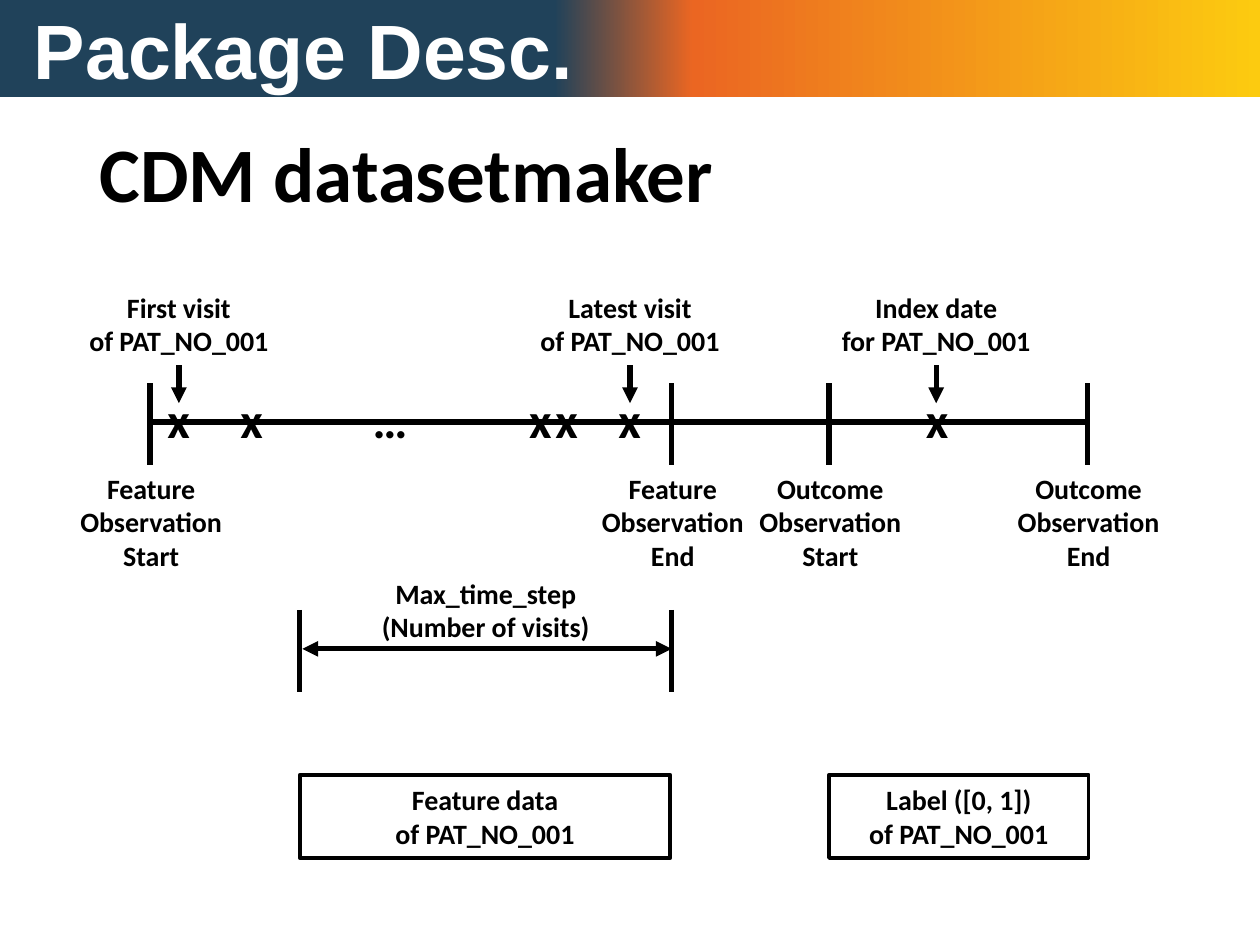
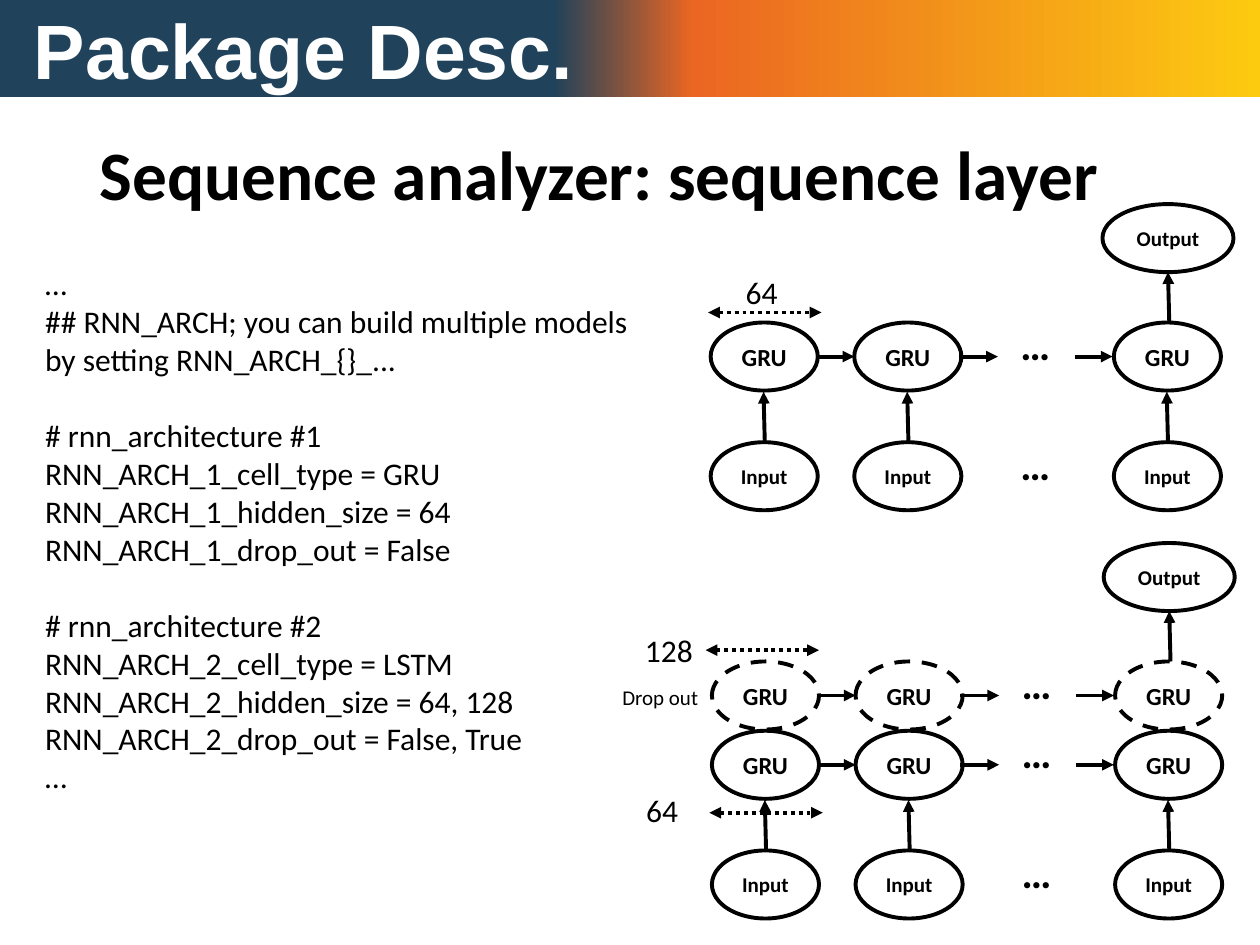
from lxml import etree
from pptx import Presentation
from pptx import util as u
from pptx.dml.color import RGBColor
from pptx.enum import dml, shapes, text
from pptx.oxml.ns import qn

BLACK, WHITE = "000000", "FFFFFF"
BAND_STOPS = [(0, "20425A"), (44, "20425A"), (55, "EB6622"), (100, "FCCB10")]
CENTER = text.PP_ALIGN.CENTER
MIDDLE, TOP = text.MSO_ANCHOR.MIDDLE, text.MSO_ANCHOR.TOP

CODE_BLOCKS = [
    ["…", "## RNN_ARCH; you can build multiple models by setting RNN_ARCH_{}_..."],
    ["# rnn_architecture #1", "RNN_ARCH_1_cell_type = GRU",
     "RNN_ARCH_1_hidden_size = 64", "RNN_ARCH_1_drop_out = False"],
    ["# rnn_architecture #2", "RNN_ARCH_2_cell_type = LSTM",
     "RNN_ARCH_2_hidden_size = 64, 128", "RNN_ARCH_2_drop_out = False, True", "…"],
]


# Shared helpers
def color(value):
    return RGBColor.from_string(value)


def inches(*lengths):
    return [u.Inches(length) for length in lengths]


def write(shape, content, size=16, font="Calibri", fill=BLACK, bold=True,
          align=text.PP_ALIGN.LEFT, anchor=MIDDLE, wrap=True, inset=0.1):
    """Write one paragraph per line of content."""
    frame = shape.text_frame
    frame.auto_size = text.MSO_AUTO_SIZE.NONE
    frame.word_wrap = wrap
    frame.vertical_anchor = anchor
    frame.margin_left = u.Inches(inset)
    frame.text = content
    for paragraph in frame.paragraphs:
        paragraph.alignment = align
        for run in paragraph.runs:
            run.font.name = font
            run.font.size = u.Pt(size)
            run.font.bold = bold
            run.font.color.rgb = color(fill)
    return frame


def add_text(slide, box, content, **style):
    return write(slide.shapes.add_textbox(*inches(*box)), content, **style)


def add_mark(slide, box, content, size):
    add_text(slide, box, content, size=size, anchor=TOP, wrap=False)


def add_outlined(slide, kind, box, content, size=16, dash=None):
    shape = slide.shapes.add_shape(kind, *inches(*box))
    shape.shadow.inherit = False
    shape.fill.background()
    shape.line.color.rgb = color(BLACK)
    shape.line.width = u.Pt(2.25)
    if dash:
        shape.line.dash_style = dash
    frame = write(shape, content, size=size, align=CENTER, inset=0)
    frame.margin_right = 0


def add_line(slide, start, end, width=3, heads=(), dash=None):
    line = slide.shapes.add_connector(
        shapes.MSO_CONNECTOR.STRAIGHT, *inches(*start, *end))
    line.line.color.rgb = color(BLACK)
    line.line.width = u.Pt(width)
    if dash:
        line.line.dash_style = dash
    properties = line.element.spPr
    for head in heads:
        etree.SubElement(properties.find(qn("a:ln")), qn(f"a:{head}"), type="triangle")
    etree.SubElement(properties, qn("a:effectLst"))


def add_band(slide):
    band = slide.shapes.add_shape(
        shapes.MSO_SHAPE.RECTANGLE, *inches(0, 0, 10, 0.77))
    band.shadow.inherit = False
    band.line.fill.background()
    band.fill.gradient()
    band.fill.gradient_angle = 0
    stops = band.element.spPr.find(".//" + qn("a:gsLst"))
    for stop in list(stops):
        stops.remove(stop)
    for position, value in BAND_STOPS:
        stop = etree.SubElement(stops, qn("a:gs"), pos=str(position * 1000))
        etree.SubElement(stop, qn("a:srgbClr"), val=value)
    write(band, "Package Desc.", size=44, font="Arial", fill=WHITE, inset=0.27)


def add_titled_slide(presentation, title, size):
    slide = presentation.slides.add_slide(presentation.slide_layouts[5])
    add_band(slide)
    holder = slide.shapes.title
    holder.left, holder.top, holder.width, holder.height = inches(0.69, 0.97, 8.62, 0.88)
    write(holder, title, size=size).paragraphs[0].line_spacing = 0.9
    return slide


# Dataset maker slide
def add_tick(slide, x, top):
    add_line(slide, (x, top), (x, top + 0.65))


def add_timeline(slide, left, top):
    """Observation periods and visits; top is the upper end of the ticks."""
    label_width = 1.66
    periods = [(0, "Feature Observation Start"), (4.14, "Feature Observation End"),
               (5.39, "Outcome Observation Start"), (7.44, "Outcome Observation End")]
    add_line(slide, (left + 7.44, top + 0.31), (left, top + 0.31))
    for offset, label in periods:
        add_tick(slide, left + offset, top)
        add_text(slide, (left + offset - label_width / 2 + 0.01, top + 0.65, label_width, 0.9),
                 label, align=CENTER)

    for offset in (0.23, 0.81, 3.1, 3.31, 3.81, 6.25):
        add_mark(slide, (left + offset - 0.19, top, 0.38, 0.57), "x", 28)
    add_mark(slide, (left + 1.67, top, 0.48, 0.57), "…", 28)

    events = [(0.23, "First visit\nof PAT_NO_001"), (3.81, "Latest visit\nof PAT_NO_001"),
              (6.24, "Index date\nfor PAT_NO_001")]
    for offset, label in events:
        x = left + offset
        add_text(slide, (x - 0.91, top - 0.8, 1.82, 0.66), label, align=CENTER)
        add_line(slide, (x, top - 0.14), (x, top + 0.16), heads=["tailEnd"])


def add_time_step(slide, left, top, width):
    for x in (left, left + width):
        add_tick(slide, x, top)
    add_line(slide, (left + width, top + 0.31), (left + 0.02, top + 0.31),
             heads=["headEnd", "tailEnd"])
    add_text(slide, (left + 0.5, top - 0.33, 1.95, 0.66),
             "Max_time_step (Number of visits)", align=CENTER)


def build_dataset_slide(presentation):
    slide = add_titled_slide(presentation, "CDM datasetmaker", 44)
    add_timeline(slide, 1.19, 3.04)
    add_time_step(slide, 2.38, 4.84, 2.95)
    for left, width, label in [(2.38, 2.94, "Feature data"), (6.58, 2.06, "Label ([0, 1])")]:
        add_outlined(slide, shapes.MSO_SHAPE.RECTANGLE, (left, 6.15, width, 0.66),
                     f"{label}\nof PAT_NO_001")


# Sequence layer slide
def add_code(slide, box):
    lines = [line for block in CODE_BLOCKS for line in block]
    frame = add_text(slide, box, "\n".join(lines), size=18, bold=False, anchor=TOP)
    position = 0
    for block in CODE_BLOCKS[:-1]:
        position += len(block)
        frame.paragraphs[position].space_before = u.Pt(22)


def add_network(slide, left, top, layers):
    """Output over recurrent layers over inputs; layers holds (offset, dash)."""
    columns = [left + offset for offset in (0, 1.14, 3.2)]
    cell_width, height, rise = 0.85, 0.54, 0.4
    oval = shapes.MSO_SHAPE.OVAL
    input_top = top + layers[-1][0] + 0.95

    def add_row(row_top, label, size, dash=None):
        for x in columns:
            add_outlined(slide, oval, (x, row_top, cell_width, height), label, size, dash)
        add_mark(slide, (left + 2.36, row_top - 0.08, 0.44, 0.5), "…", 24)

    def add_arrow(start, end):
        add_line(slide, start, end, width=2.25, heads=["tailEnd"])

    add_outlined(slide, oval, (left + 3.11, top, 1.04, height), "Output", 12)
    add_arrow((columns[-1] + 0.44, top + layers[0][0]), (columns[-1] + 0.43, top + height))
    for offset, dash in layers:
        add_row(top + offset, "GRU", 14, dash)
        middle = top + offset + height / 2
        for start, end in [(0.85, 1.14), (1.97, 2.28), (2.89, 3.19)]:
            add_arrow((left + start, middle), (left + end, middle))
    add_row(input_top, "Input", 12)
    for x in columns:
        add_arrow((x + 0.43, input_top), (x + 0.42, input_top - rise))


def add_size_marker(slide, left, y, label, label_box):
    add_line(slide, (left, y), (left + 0.9, y), width=2.25,
             heads=["headEnd", "tailEnd"], dash=dml.MSO_LINE.ROUND_DOT)
    add_text(slide, label_box, label, size=18, bold=False, anchor=TOP, wrap=False)


def build_sequence_slide(presentation):
    slide = add_titled_slide(presentation, "Sequence analyzer: sequence layer", 39.6)
    add_code(slide, (0.26, 2.05, 5, 4.34))
    add_network(slide, 5.64, 1.62, [(0.94, None)])
    add_network(slide, 5.65, 4.31, [(0.94, dml.MSO_LINE.DASH), (1.49, None)])
    add_size_marker(slide, 5.62, 2.48, "64", (5.82, 2.12, 0.46, 0.4))
    add_size_marker(slide, 5.6, 5.16, "128", (5.02, 4.96, 0.59, 0.4))
    add_size_marker(slide, 5.63, 6.45, "64", (5.03, 6.23, 0.46, 0.4))
    add_text(slide, (4.84, 5.38, 0.82, 0.3), "Drop out", size=12, bold=False, anchor=TOP)


def main():
    presentation = Presentation()
    presentation.slide_width, presentation.slide_height = inches(10, 7.5)
    build_dataset_slide(presentation)
    build_sequence_slide(presentation)
    presentation.save("out.pptx")


if __name__ == "__main__":
    main()
